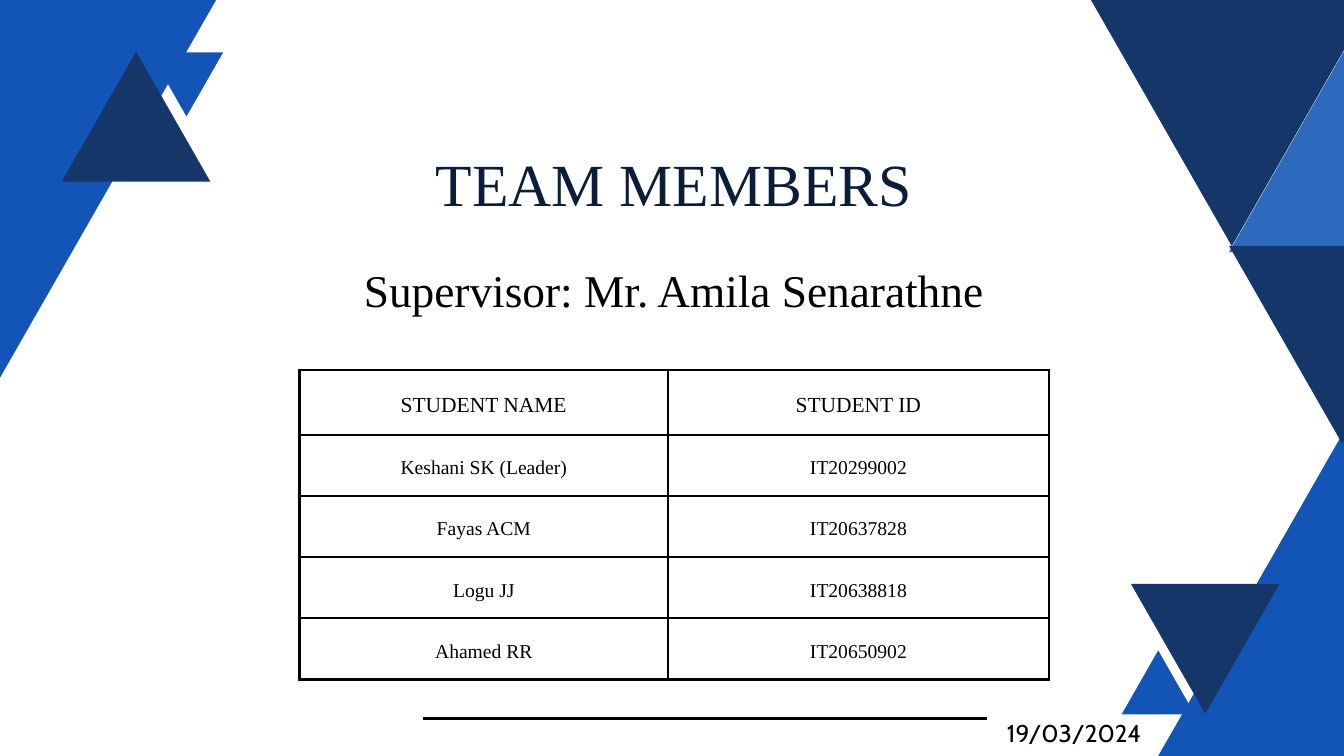
from pptx import Presentation
from pptx.dml.color import RGBColor
from pptx.enum.shapes import MSO_CONNECTOR, MSO_SHAPE
from pptx.enum.text import MSO_ANCHOR, PP_ALIGN
from pptx.oxml import parse_xml
from pptx.oxml.ns import nsdecls, qn
from pptx.util import Inches, Pt
from lxml import etree

TRIANGLE = MSO_SHAPE.ISOSCELES_TRIANGLE
STRAIGHT = MSO_CONNECTOR.STRAIGHT
CENTER = PP_ALIGN.CENTER
MIDDLE = MSO_ANCHOR.MIDDLE

BLUE = RGBColor(0x12, 0x55, 0xB6)
NAVY = RGBColor(0x15, 0x36, 0x69)
INK = RGBColor(0x0B, 0x1D, 0x39)
BLACK = RGBColor(0, 0, 0)

SERIF = "Times New Roman"
SANS = "Cabin"
RATIO = 0.874  # triangle height to width

# Triangles: left, top, width, colour, points down, opacity in percent
LEFT = [
    (-3.35, -0.2, 6.68, BLUE, True, 100),
    (0.92, 0.77, 2.21, NAVY, False, 100),
    (2.23, 0.78, 1.09, BLUE, True, 100),
]
RIGHT = [
    (0.87, 6.05, 6.68, BLUE, False, 100),
    (2.29, 0.77, 3.41, BLUE, False, 88),
    (2.29, 3.66, 3.37, NAVY, True, 100),
    (0.12, -0.2, 4.42, NAVY, True, 100),
    (0.83, 8.69, 2.21, NAVY, True, 100),
    (0.69, 9.68, 1.09, BLUE, False, 100),
]
MEMBERS = [
    ("STUDENT NAME", "STUDENT ID"),
    ("Keshani SK (Leader)", "IT20299002"),
    ("Fayas ACM", "IT20637828"),
    ("Logu JJ", "IT20638818"),
    ("Ahamed RR", "IT20650902"),
]


def write(frame, text, size=21, font=SERIF, color=BLACK, pitch=29.4):
    """Put one centred line of text into a frame."""
    para = frame.paragraphs[0]
    para.alignment = CENTER
    para.line_spacing = Pt(pitch)
    run = para.add_run()
    run.text = text
    run.font.size = Pt(size)
    run.font.name = font
    run.font.color.rgb = color


def label(slide, left, top, width, height, text, **style):
    """Add a text box without margins."""
    box = slide.shapes.add_textbox(
        Inches(left), Inches(top), Inches(width), Inches(height))
    frame = box.text_frame
    frame.word_wrap = True
    frame.margin_left = frame.margin_right = 0
    frame.margin_top = frame.margin_bottom = 0
    write(frame, text, **style)


def corner(slide, left, top, parts):
    """Place a cluster of triangles from its top left point."""
    for x, y, width, color, down, alpha in parts:
        shape = slide.shapes.add_shape(
            TRIANGLE, Inches(left + x), Inches(top + y),
            Inches(width), Inches(width * RATIO))
        shape.shadow.inherit = False
        shape.fill.solid()
        shape.fill.fore_color.rgb = color
        shape.line.fill.background()
        if down:
            shape.rotation = 180
        if alpha < 100:
            tint = shape.fill._xPr.find(".//" + qn("a:srgbClr"))
            etree.SubElement(tint, qn("a:alpha"), val=str(alpha * 1000))


def heading(slide, left, top, width):
    """Title with the supervisor below it."""
    label(slide, left + 2.3, top, width - 4.6, 1.1, "TEAM MEMBERS",
          size=64, color=INK, pitch=76.2)
    label(slide, left, top + 1.72, width, 0.85,
          "Supervisor: Mr. Amila Senarathne", size=48.6, pitch=57.8)


def border(cell):
    """Draw a black line on each side of a cell."""
    props = cell._tc.get_or_add_tcPr()
    for at, side in enumerate(("lnL", "lnR", "lnT", "lnB")):
        props.insert(at, parse_xml(
            f'<a:{side} {nsdecls("a")} w="{Pt(3)}"><a:solidFill>'
            f'<a:srgbClr val="{BLACK}"/></a:solidFill></a:{side}>'))


def roster(slide, left, top, width, height):
    """Table of students and their numbers."""
    table = slide.shapes.add_table(
        len(MEMBERS), 2, Inches(left), Inches(top),
        Inches(width), Inches(height)).table
    table.first_row = table.horz_banding = False
    first = 5.48
    table.columns[0].width = Inches(first)
    table.columns[1].width = Inches(width - first)
    head = 0.96
    rest = (height - head) / (len(MEMBERS) - 1)
    for r, texts in enumerate(MEMBERS):
        table.rows[r].height = Inches(rest if r else head)
        style = {} if r else {"size": 23, "pitch": 32.2}
        for c, text in enumerate(texts):
            cell = table.cell(r, c)
            cell.fill.background()
            cell.vertical_anchor = MIDDLE
            cell.margin_left = cell.margin_right = Inches(0.21)
            cell.margin_top = cell.margin_bottom = Inches(0.21)
            write(cell.text_frame, text, **style)
            border(cell)


def footer(slide, left, top):
    """Rule with the date at its right."""
    y = Inches(top + 0.08)
    rule = slide.shapes.add_connector(
        STRAIGHT, Inches(left), y, Inches(left + 8.39), y)
    rule.line.color.rgb = BLACK
    rule.line.width = Pt(3)
    etree.SubElement(rule._element.spPr, qn("a:effectLst"))
    label(slide, left + 8.55, top, 2.27, 0.51, "19/03/2024",
          size=26, font=SANS, pitch=36.4)


def main():
    deck = Presentation()
    deck.slide_width = Inches(20)
    deck.slide_height = Inches(11.25)
    slide = deck.slides.add_slide(deck.slide_layouts[6])
    corner(slide, 16, 0, RIGHT)
    corner(slide, 0, 0, LEFT)
    roster(slide, 4.46, 5.51, 11.15, 4.6)
    heading(slide, 3.13, 2.19, 13.79)
    footer(slide, 6.3, 10.61)
    deck.save("out.pptx")


if __name__ == "__main__":
    main()
